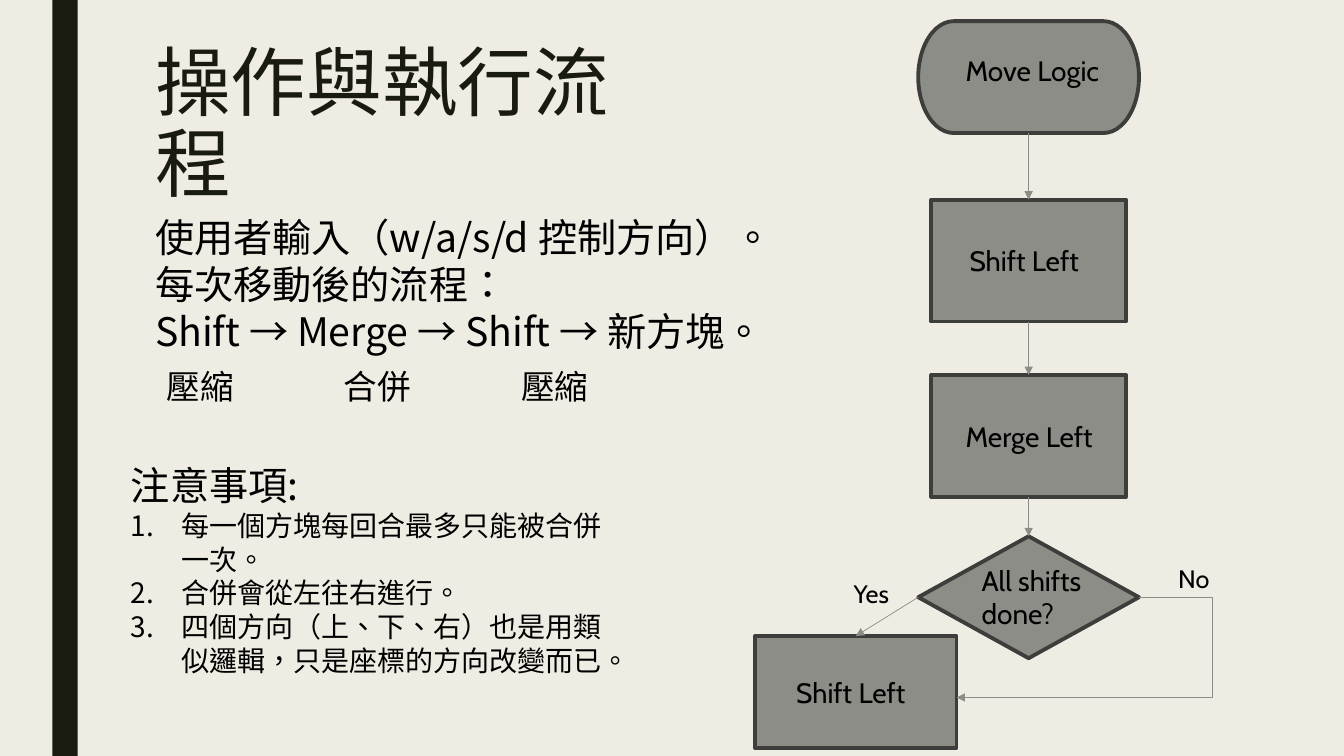
from dataclasses import dataclass
from itertools import pairwise

from lxml.etree import SubElement
from pptx import Presentation
from pptx.dml.color import RGBColor
from pptx.enum.shapes import MSO_CONNECTOR as Connector, MSO_SHAPE as Preset
from pptx.enum.text import MSO_ANCHOR as Anchor, MSO_AUTO_SIZE as AutoSize, PP_ALIGN as Align
from pptx.oxml.ns import qn
from pptx.util import Emu, Inches, Pt

WIDTH, HEIGHT = Inches(13.333), Inches(7.5)
COLUMNS, ROWS = 160, 90
CHINESE, LATIN = "Noto Sans CJK SC", "Cabin"
PAPER, INK, BLACK, GRAY, EDGE = "EFEDE3", "191B0E", "000000", "8C8D86", "3D3E3B"
TOP, LEFT, BOTTOM, RIGHT = range(4)
FLOW_CENTER = 122.46


@dataclass(frozen=True)
class Box:
    column: float
    row: float
    columns: float
    rows: float

    def place(self) -> tuple[Emu, Emu, Emu, Emu]:
        return across(self.column), down(self.row), across(self.columns), down(self.rows)


@dataclass(frozen=True)
class Line:
    text: str
    size: float
    numbered: bool = False


@dataclass(frozen=True)
class Caption:
    box: Box
    lines: tuple[Line, ...]
    font: str = LATIN
    align: Align = Align.LEFT


@dataclass(frozen=True)
class Step:
    preset: Preset
    box: Box
    caption: Caption


def across(columns: float) -> Emu:
    return Emu(round(WIDTH * columns / COLUMNS))


def down(rows: float) -> Emu:
    return Emu(round(HEIGHT * rows / ROWS))


def color(value: str) -> RGBColor:
    return RGBColor.from_string(value)


def label(text: str, size: float, column: float, row: float, columns: float, rows: float) -> Caption:
    return Caption(Box(column, row, columns, rows), (Line(text, size),))


def centered(row: float, columns: float, rows: float) -> Box:
    return Box(FLOW_CENTER - columns / 2, row, columns, rows)


def add_run(paragraph, text: str, size: float, font: str, ink: str) -> None:
    run = paragraph.add_run()
    run.text = text
    run.font.size = Pt(size)
    run.font.name = font
    run.font.color.rgb = color(ink)
    if font == CHINESE:
        properties = run.font._element
        properties.set("lang", "zh-TW")
        SubElement(properties, qn("a:ea")).set("typeface", font)


def number(paragraph) -> None:
    properties = paragraph._p.get_or_add_pPr()
    properties.set("marL", str(Inches(0.5)))
    properties.set("indent", str(-Inches(0.5)))
    SubElement(properties, qn("a:buAutoNum")).set("type", "arabicPeriod")


def draw_caption(slide, caption: Caption) -> None:
    frame = slide.shapes.add_textbox(*caption.box.place()).text_frame
    frame.word_wrap = True
    frame.auto_size = AutoSize.SHAPE_TO_FIT_TEXT
    for index, line in enumerate(caption.lines):
        paragraph = frame.add_paragraph() if index else frame.paragraphs[0]
        paragraph.alignment = caption.align
        if line.numbered:
            number(paragraph)
        add_run(paragraph, line.text, line.size, caption.font, BLACK)


def draw_shape(slide, preset: Preset, box: Box, fill: str, edge: str | None = None):
    shape = slide.shapes.add_shape(preset, *box.place())
    shape.shadow.inherit = False
    shape.fill.solid()
    shape.fill.fore_color.rgb = color(fill)
    if edge:
        shape.line.color.rgb = color(edge)
        shape.line.width = Pt(2.75)
    else:
        shape.line.fill.background()
    return shape


def draw_step(slide, step: Step):
    shape = draw_shape(slide, step.preset, step.box, GRAY, EDGE)
    draw_caption(slide, step.caption)
    return shape


def draw_connector(slide, kind: Connector, start: tuple[float, float],
                   end: tuple[float, float], arrow: bool = True):
    connector = slide.shapes.add_connector(
        kind, across(start[0]), down(start[1]), across(end[0]), down(end[1]))
    connector.line.color.rgb = color(GRAY)
    connector.line.width = Pt(0.5)
    if arrow:
        SubElement(connector.line._get_or_add_ln(), qn("a:tailEnd")).set("type", "triangle")
    SubElement(connector._element.spPr, qn("a:effectLst"))
    return connector


def join(slide, source, source_side: int, target, target_side: int) -> None:
    connector = draw_connector(slide, Connector.STRAIGHT, (0, 0), (1, 1))
    connector.begin_connect(source, source_side)
    connector.end_connect(target, target_side)


FLOW = (
    Step(Preset.FLOWCHART_TERMINATOR, centered(2.52, 26.28, 13.32),
         label("Move Logic", 20, 113.76, 5.76, 20.88, 5.28)),
    Step(Preset.RECTANGLE, centered(23.76, 23.16, 14.52),
         label("Shift Left", 20, 114.24, 28.44, 21.36, 5.28)),
    Step(Preset.RECTANGLE, centered(44.64, 23.16, 14.52),
         label("Merge Left", 20, 113.76, 49.32, 20.88, 5.28)),
    Step(Preset.FLOWCHART_DECISION, centered(63.84, 26.28, 14.52),
         label("All shifts done?", 20, 115.68, 66.48, 17.16, 9.24)),
)
FINAL_SHIFT = Step(Preset.RECTANGLE, Box(89.88, 75.72, 24, 13.32),
                   label("Shift Left", 20, 93.6, 79.8, 21.6, 5.28))
ANSWERS = (label("Yes", 18, 100.44, 68.28, 12.84, 4.8),
           label("No", 18, 139.08, 66.48, 9.72, 4.8))
PROCESS = Caption(Box(17.28, 24.84, 85.68, 18.12), (
    Line("使用者輸入（w/a/s/d 控制方向）。", 28),
    Line("每次移動後的流程：", 28),
    Line("Shift → Merge → Shift → 新方塊。", 28)), CHINESE)
GLOSSES = tuple(
    Caption(Box(17.4 + 21.12 * index, 43, 12.84, 6), (Line(text, 24),), CHINESE, Align.CENTER)
    for index, text in enumerate(("壓縮", "合併", "壓縮")))
NOTES = Caption(Box(14.4, 54.36, 61.68, 31.08), (
    Line("注意事項:", 28),
    Line("每一個方塊每回合最多只能被合併一次。", 20, True),
    Line("合併會從左往右進行。", 20, True),
    Line("四個方向（上、下、右）也是用類似邏輯，只是座標的方向改變而已。", 20, True)), CHINESE)


def draw_title(slide) -> None:
    title = slide.shapes.title
    title.left, title.top, title.width, title.height = Box(17.28, 9.24, 65.4, 11.64).place()
    frame = title.text_frame
    frame.auto_size = AutoSize.NONE
    frame.vertical_anchor = Anchor.MIDDLE
    paragraph = frame.paragraphs[0]
    paragraph.alignment = Align.LEFT
    paragraph.line_spacing = 0.89
    add_run(paragraph, "操作與執行流程", 54, CHINESE, INK)


def draw_flow(slide) -> None:
    shapes = [draw_step(slide, step) for step in FLOW]
    for source, target in pairwise(shapes):
        join(slide, source, BOTTOM, target, TOP)
    decision = shapes[-1]
    final_shift = draw_step(slide, FINAL_SHIFT)
    join(slide, decision, LEFT, final_shift, TOP)
    corner = (144.36, 83.04)
    detour = draw_connector(slide, Connector.ELBOW, (135.6, 71.1), corner, arrow=False)
    detour.begin_connect(decision, RIGHT)
    detour._element.spPr.find(qn("a:prstGeom")).set("prst", "bentConnector2")
    draw_connector(slide, Connector.STRAIGHT, corner, (113.88, corner[1]))


def main() -> None:
    presentation = Presentation()
    presentation.slide_width, presentation.slide_height = WIDTH, HEIGHT
    slide = presentation.slides.add_slide(presentation.slide_layouts.get_by_name("Title Only"))
    slide.background.fill.solid()
    slide.background.fill.fore_color.rgb = color(PAPER)
    draw_shape(slide, Preset.RECTANGLE, Box(6.24, 0, 3, ROWS), INK)
    draw_title(slide)
    draw_flow(slide)
    for caption in (PROCESS, *ANSWERS, *GLOSSES, NOTES):
        draw_caption(slide, caption)
    presentation.save("out.pptx")


if __name__ == "__main__":
    main()
